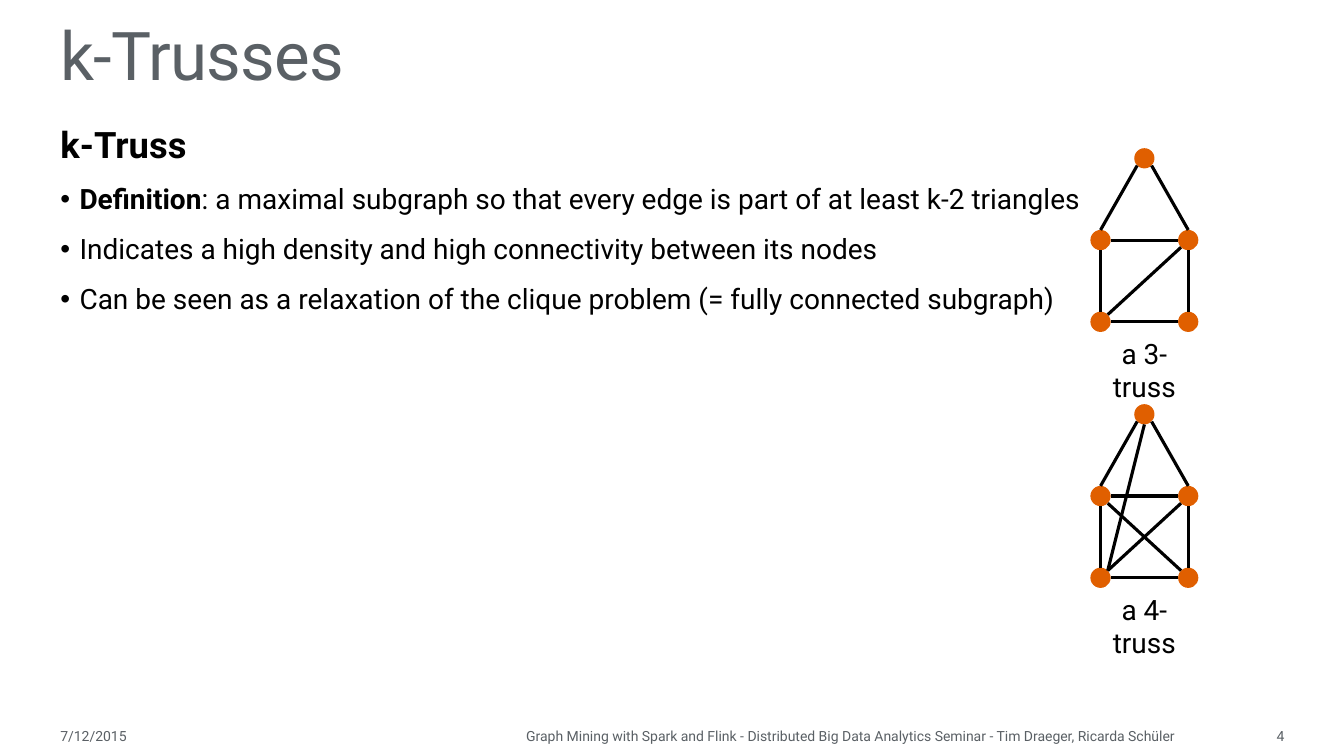
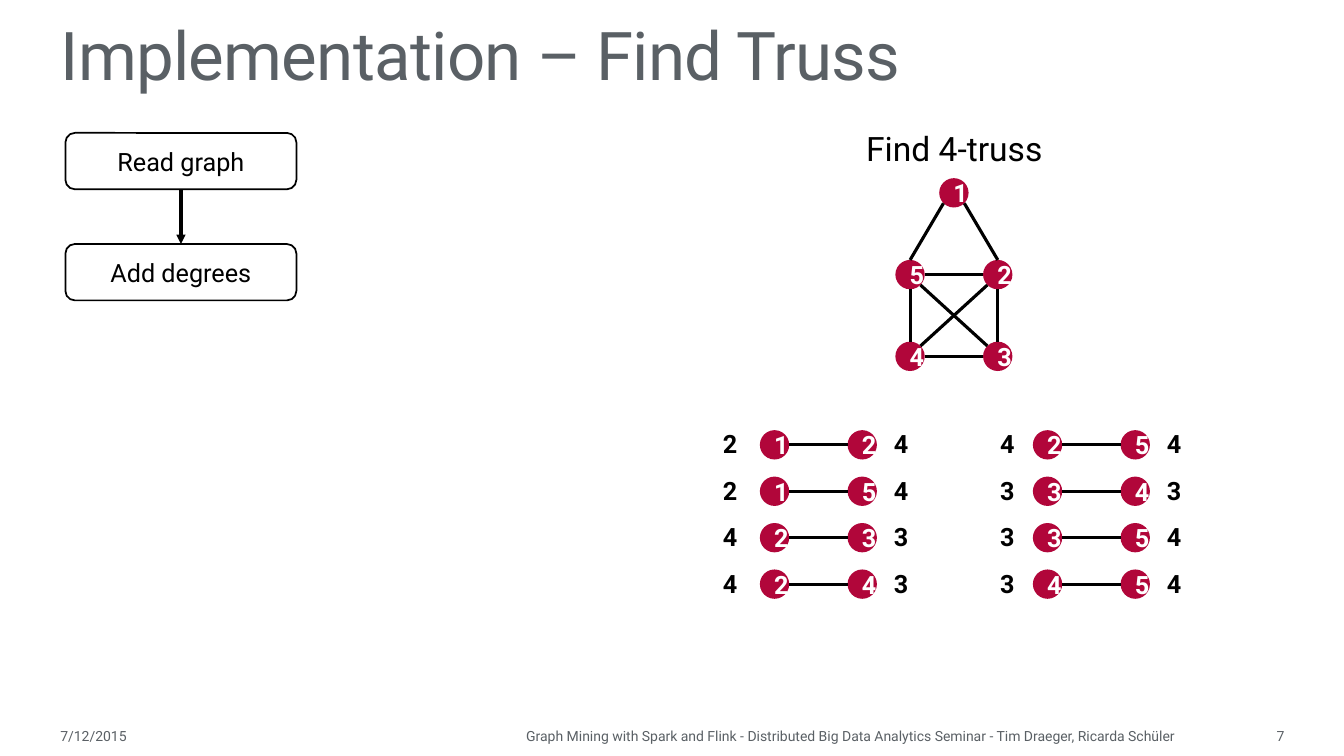
from collections import Counter

from pptx import Presentation
from pptx.dml.color import RGBColor
from pptx.enum.shapes import MSO_CONNECTOR, MSO_SHAPE
from pptx.enum.text import MSO_ANCHOR, MSO_AUTO_SIZE, PP_ALIGN
from pptx.oxml.ns import qn
from pptx.util import Cm, Pt

LEFT, CENTER, RIGHT = PP_ALIGN.LEFT, PP_ALIGN.CENTER, PP_ALIGN.RIGHT
MIDDLE, BOTTOM = MSO_ANCHOR.MIDDLE, MSO_ANCHOR.BOTTOM
NO_AUTOFIT = MSO_AUTO_SIZE.NONE
STRAIGHT = MSO_CONNECTOR.STRAIGHT
OVAL, ROUNDED = MSO_SHAPE.OVAL, MSO_SHAPE.ROUNDED_RECTANGLE

# Shared look
FONT = "Roboto"
BLACK, WHITE, GREY, ORANGE, RED = "000000", "FFFFFF", "5A6065", "E05F00", "B1063A"
TITLE_LAYOUT, LIST_LAYOUT = 5, 1
TITLE_BOX = (1.27, 0, 28.04, 2.51)
BODY_BOX = (1.27, 3.07, 31.01, 14.4)
FOOTER_Y, FOOTER_H = 18.06, 0.99
DATE = "7/12/2015"
FOOTER = ("Graph Mining with Spark and Flink - Distributed Big Data Analytics "
          "Seminar - Tim Draeger, Ricarda Schüler")

# House graph: node positions in grid steps from the roof, edges between sides
STEP_X, STEP_Y = 2.21, 2.06
NODES = {1: (0, 0), 2: (0.5, 1), 3: (0.5, 2), 4: (-0.5, 2), 5: (-0.5, 1)}
DIAG = 0.71
SIDES = {"N": (0, -1), "S": (0, 1), "W": (-1, 0), "E": (1, 0),
         "NW": (-DIAG, -DIAG), "NE": (DIAG, -DIAG),
         "SW": (-DIAG, DIAG), "SE": (DIAG, DIAG)}
HOUSE = [(1, "SW", 5, "N"), (1, "SE", 2, "N"), (5, "E", 2, "W"),
         (5, "S", 4, "N"), (2, "S", 3, "N"), (4, "E", 3, "W")]
RISING, FALLING = (4, "NE", 2, "SW"), (5, "SE", 3, "NW")
ROOF_TO_CORNER = (1, "S", 4, "NE")
CROSSED_HOUSE = HOUSE + [FALLING, RISING]


def rgb(color):
    return RGBColor.from_string(color)


def set_all(obj, values):
    for name, value in values.items():
        setattr(obj, name, value)


def place(sp, box):
    set_all(sp, dict(zip(("left", "top", "width", "height"), map(Cm, box))))


def add_run(p, text, size, color=BLACK, bold=False):
    r = p.add_run()
    r.text = text
    set_all(r.font, {"name": FONT, "size": Pt(size), "bold": bold})
    r.font.color.rgb = rgb(color)
    return r


def add_label(slide, text, box, size, color=BLACK, bold=False, align=CENTER,
              wrap=False, anchor=None):
    tf = slide.shapes.add_textbox(*map(Cm, box)).text_frame
    set_all(tf, {"word_wrap": wrap, "vertical_anchor": anchor})
    p = tf.paragraphs[0]
    p.alignment = align
    add_run(p, text, size, color, bold)


def add_shape(slide, kind, box, fill=None, outline=None, text="",
              color=BLACK, bold=False):
    sp = slide.shapes.add_shape(kind, *map(Cm, box))
    sp.shadow.inherit = False
    if fill:
        sp.fill.solid()
        sp.fill.fore_color.rgb = rgb(fill)
    else:
        sp.fill.background()
    if outline:
        sp.line.color.rgb = rgb(outline)
        sp.line.width = Pt(1.25)
    else:
        sp.line.fill.background()
    if text:
        sp.text_frame.vertical_anchor = MIDDLE
        p = sp.text_frame.paragraphs[0]
        p.alignment = CENTER
        add_run(p, text, 18, color, bold)
    return sp


def add_line(slide, start, end, arrow=False):
    line = slide.shapes.add_connector(STRAIGHT, *map(Cm, (*start, *end)))
    line.line.color.rgb = rgb(BLACK)
    line.line.width = Pt(2.25)
    if arrow:
        ln = line.line._get_or_add_ln()
        tail = ln.makeelement(qn("a:tailEnd"), {"type": "triangle"})
        ln.append(tail)
    spPr = line._element.spPr
    spPr.append(spPr.makeelement(qn("a:effectLst"), {}))
    return line


def add_node(slide, center, size, fill, text=""):
    x, y = center
    add_shape(slide, OVAL, (x - size / 2, y - size / 2, size, size),
              fill=fill, text=text, color=WHITE, bold=True)


def add_house(slide, x, y, edges, size, fill, numbered=False):
    """Draw the graph with its roof node centred at x, y."""
    centers = {n: (x + dx * STEP_X, y + dy * STEP_Y)
               for n, (dx, dy) in NODES.items()}
    for n, center in centers.items():
        add_node(slide, center, size, fill, str(n) if numbered else "")

    def side_point(n, side):
        return [c + d * size / 2 for c, d in zip(centers[n], SIDES[side])]

    for a, side_a, b, side_b in edges:
        add_line(slide, side_point(a, side_a), side_point(b, side_b))


def add_degree_pair(slide, pair, degrees, x, y, left_gap, size):
    """Draw one edge with the degree of each end beside it."""
    ends = (x, x + STEP_X)
    label_w, label_h, right_gap = 0.94, 1.07, 0.98
    for n, node_x, shift in zip(pair, ends, (-left_gap, right_gap)):
        add_node(slide, (node_x, y), size, RED, str(n))
        add_label(slide, str(degrees[n]),
                  (node_x + shift - label_w / 2, y - label_h / 2, label_w, label_h),
                  18, bold=True)
    add_line(slide, (ends[0] + size / 2, y), (ends[1] - size / 2, y))


def set_bullet(p, char=None):
    pPr = p._p.get_or_add_pPr()
    indent = Cm(0.48) if char else 0
    pPr.set("marL", str(indent))
    pPr.set("indent", str(-indent))
    if char:
        pPr.append(pPr.makeelement(qn("a:buChar"), {"char": char}))
    else:
        pPr.append(pPr.makeelement(qn("a:buNone"), {}))


def fill_body(body, heading, items):
    place(body, BODY_BOX)
    tf = body.text_frame
    set_all(tf, {"word_wrap": True, "auto_size": NO_AUTOFIT})
    rows = [(None, 26, [(heading, True)])] + [("•", 20, runs) for runs in items]
    for i, (char, size, runs) in enumerate(rows):
        p = tf.add_paragraph() if i else tf.paragraphs[0]
        set_bullet(p, char)
        set_all(p, {"line_spacing": 0.9, "space_before": Pt(12 if i else 0),
                    "space_after": Pt(2), "alignment": LEFT})
        for text, bold in runs:
            add_run(p, text, size, bold=bold)


def add_slide(prs, layout, title, number):
    """Start a slide with the shared title and footer."""
    slide = prs.slides.add_slide(prs.slide_layouts[layout])
    place(slide.shapes.title, TITLE_BOX)
    tf = slide.shapes.title.text_frame
    set_all(tf, {"word_wrap": True, "auto_size": NO_AUTOFIT,
                 "vertical_anchor": BOTTOM})
    p = tf.paragraphs[0]
    set_all(p, {"alignment": LEFT, "line_spacing": 0.85})
    r = add_run(p, title, 48, GREY)
    r.font._element.set("spc", "-50")
    for text, x, w, align in ((DATE, 1.27, 2.67, LEFT),
                              (FOOTER, 4.04, 25.81, RIGHT),
                              (str(number), 29.95, 2.67, RIGHT)):
        add_label(slide, text, (x, FOOTER_Y, w, FOOTER_H), 10, GREY,
                  align=align, wrap=True, anchor=MIDDLE)
    return slide


def build_definition(prs):
    slide = add_slide(prs, LIST_LAYOUT, "k-Trusses", 4)
    fill_body(slide.placeholders[1], "k-Truss", [
        [("Definition", True),
         (": a maximal subgraph so that every edge is part of at least k-2 triangles",
          False)],
        [("Indicates a high density and high connectivity between its nodes", False)],
        [("Can be seen as a relaxation of the clique problem "
          "(= fully connected subgraph)", False)],
    ])
    # Example graphs
    x = 28.84
    for y, edges, caption in ((3.99, HOUSE + [RISING], "a 3-truss"),
                              (10.44, CROSSED_HOUSE + [ROOF_TO_CORNER], "a 4-truss")):
        add_house(slide, x, y, edges, 0.51, ORANGE)
        add_label(slide, caption, (x - 1.46, y + 4.36, 2.92, 1.09), 20)


def build_implementation(prs):
    slide = add_slide(prs, TITLE_LAYOUT, "Implementation – Find Truss", 7)
    # Flow chart
    read, degree = [add_shape(slide, ROUNDED, (1.65, y, 5.82, 1.42),
                              outline=BLACK, text=text)
                    for y, text in ((3.35, "Read graph"), (6.15, "Add degrees"))]
    arrow = add_line(slide, (4.56, 4.77), (4.56, 6.15), arrow=True)
    arrow.begin_connect(read, 2)
    arrow.end_connect(degree, 0)

    # Numbered graph
    size = 0.74
    add_label(slide, "Find 4-truss", (20.8, 3.1, 6.5, 1.3), 24)
    add_house(slide, 24.04, 4.86, CROSSED_HOUSE, size, RED, numbered=True)

    # Its edges in two columns, with node degrees
    pairs = sorted(tuple(sorted((a, b))) for a, _, b, _ in CROSSED_HOUSE)
    degrees = Counter(n for pair in pairs for n in pair)
    columns = ((19.52, 1.12), (26.4, 1.01))
    for i, pair in enumerate(pairs):
        col, row = divmod(i, 4)
        x, left_gap = columns[col]
        add_degree_pair(slide, pair, degrees, x, 11.21 + row * 1.17, left_gap, size)


def main():
    prs = Presentation()
    prs.slide_width, prs.slide_height = Cm(33.87), Cm(19.05)
    build_definition(prs)
    build_implementation(prs)
    prs.save("out.pptx")


if __name__ == "__main__":
    main()
